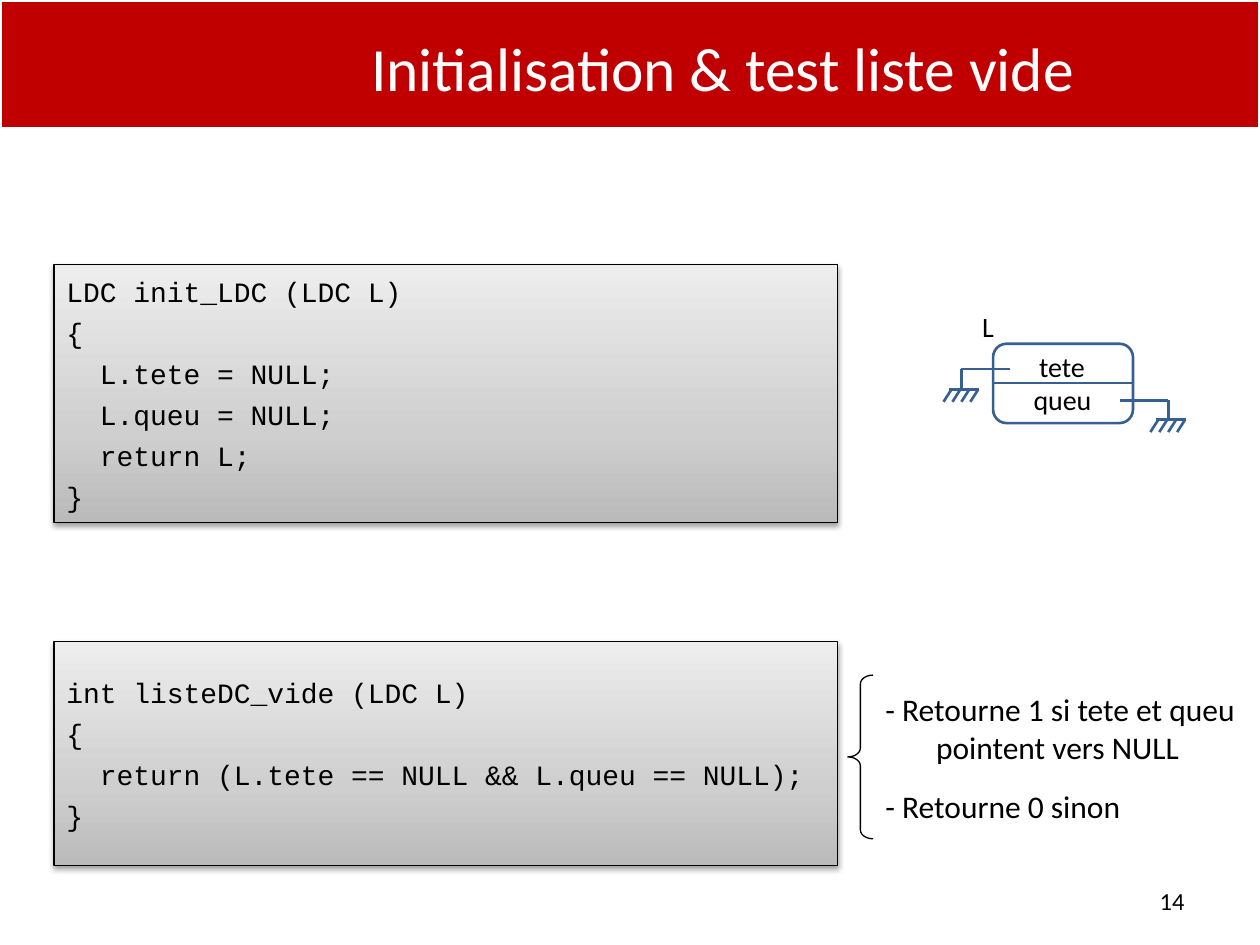
from lxml.etree import SubElement
from pptx import Presentation
from pptx.dml.color import RGBColor
from pptx.enum.shapes import MSO_CONNECTOR, MSO_SHAPE as SHAPE
from pptx.enum.text import MSO_ANCHOR as ANCHOR, MSO_AUTO_SIZE, PP_ALIGN as ALIGN
from pptx.oxml.ns import qn
from pptx.util import Cm, Pt

BLACK, WHITE, RED, BLUE = "000000", "FFFFFF", "C00000", "366092"
GREYS = [(0, "BABABA"), (35, "CFCFCF"), (100, "EDEDED")]

INIT_CODE = """LDC init_LDC (LDC L)
{
  L.tete = NULL;
  L.queu = NULL;
  return L;
}"""
EMPTY_CODE = """int listeDC_vide (LDC L)
{
  return (L.tete == NULL && L.queu == NULL);
}"""


def rgb(hex_color):
    return RGBColor.from_string(hex_color)


def sub(parent, tag, **attributes):
    return SubElement(parent, qn(tag), {k: str(v) for k, v in attributes.items()})


class Slide:
    """Holds the slide and its style; lengths are in centimetres."""
    font, code_font = "Calibri", "Courier New"

    def __init__(self, deck):
        self.slide = deck.slides.add_slide(deck.slide_layouts[5])
        self.shapes = self.slide.shapes

    def put_lines(self, shape, lines, size, color=BLACK, font=None, align=ALIGN.LEFT,
                  anchor=ANCHOR.TOP, gap=0, hanging=None):
        frame = shape.text_frame
        frame_format = {"word_wrap": True, "auto_size": MSO_AUTO_SIZE.NONE,
                        "vertical_anchor": anchor}
        for name, value in frame_format.items():
            setattr(frame, name, value)
        for i, line in enumerate(lines):
            paragraph = frame.paragraphs[0] if i == 0 else frame.add_paragraph()
            paragraph.text = line
            paragraph.alignment = align
            paragraph.space_before = Pt(gap if i else 0)
            if hanging and i == 0:
                properties = paragraph._p.get_or_add_pPr()
                properties.set("marL", str(Cm(hanging)))
                properties.set("indent", str(-Cm(hanging)))
            for name, value in {"name": font or self.font, "size": Pt(size)}.items():
                setattr(paragraph.font, name, value)
            paragraph.font.color.rgb = rgb(color)

    def title(self, text, box, **style):
        holder = self.shapes.title
        for name, value in zip(("left", "top", "width", "height"), box):
            setattr(holder, name, Cm(value))
        self.put_lines(holder, [text], align=ALIGN.CENTER, anchor=ANCHOR.MIDDLE, **style)

    def text(self, lines, box, size, **style):
        self.put_lines(self.shapes.add_textbox(*map(Cm, box)), lines, size, **style)

    def shape(self, kind, box, line, width, fill=None, adjust=None):
        shape = self.shapes.add_shape(kind, *map(Cm, box))
        shape.shadow.inherit = False
        shape.line.color.rgb = rgb(line)
        shape.line.width = Pt(width)
        if fill:
            shape.fill.solid()
            shape.fill.fore_color.rgb = rgb(fill)
        else:
            shape.fill.background()
        if adjust:
            shape.adjustments[0] = adjust
        return shape

    def line(self, x1, y1, x2, y2):
        line = self.shapes.add_connector(MSO_CONNECTOR.STRAIGHT, *map(Cm, (x1, y1, x2, y2)))
        line.line.color.rgb = rgb(BLUE)
        line.line.width = Pt(1.5)
        sub(line._element.spPr, "a:effectLst")

    def code(self, source, box):
        panel = self.shape(SHAPE.RECTANGLE, box, BLACK, 0.75)
        panel.fill.gradient()
        panel.fill.gradient_angle = 90
        properties = panel._element.spPr
        stops = properties.find(".//" + qn("a:gsLst"))
        for stop in list(stops):
            stops.remove(stop)
        for position, grey in GREYS:
            sub(sub(stops, "a:gs", pos=position * 1000), "a:srgbClr", val=grey)
        shadow = sub(properties.find(qn("a:effectLst")), "a:outerShdw", blurRad=Pt(3.1),
                     dist=Pt(1.6), dir=5400000, rotWithShape=0)
        sub(sub(shadow, "a:srgbClr", val=BLACK), "a:alpha", val=37000)
        self.put_lines(panel, source.split("\n"), 16, font=self.code_font,
                       anchor=ANCHOR.MIDDLE, gap=4.2)

    def ground(self, start, y, stem, bar):
        """A NULL pointer: wire, stem, bar and four slanted ticks."""
        self.line(start, y, stem, y)
        self.line(stem, y, stem, bar)
        self.line(stem - 0.24, bar, stem + 0.35, bar)
        for i in range(4):
            x = stem - 0.2 + 0.18 * i
            self.line(x, bar, x - 0.16, bar + 0.25)


def main():
    deck = Presentation()
    deck.slide_width, deck.slide_height = Cm(25.4), Cm(19.05)
    page = Slide(deck)

    # Title on its red band, which goes behind it
    band = page.shape(SHAPE.RECTANGLE, (0, 0, 25.4, 2.59), WHITE, 2, fill=RED)
    page.shapes._spTree.insert(2, band._element)
    page.title("Initialisation & test liste vide ", (5.51, 0.48, 18.39, 1.75),
               size=35.1, color=WHITE)

    # Code panels
    page.code(INIT_CODE, (1.09, 5.33, 15.8, 5.21))
    page.code(EMPTY_CODE, (1.09, 12.93, 15.8, 4.52))

    # Empty list: both pointers grounded
    page.ground(20.37, 7.44, 19.38, 7.85)
    page.ground(22.58, 8.07, 23.55, 8.46)
    page.shape(SHAPE.ROUNDED_RECTANGLE, (20.02, 6.93, 2.82, 1.6), BLUE, 1.5, adjust=0.17)
    page.line(20.02, 7.72, 22.84, 7.72)
    for label, left, top, width in (("tete", 19.96, 6.93, 2.9), ("queu", 20.19, 7.59, 2.46),
                                    ("L", 19.38, 6.12, 1.07)):
        page.text([label], (left, top, width, 0.94), 16, align=ALIGN.CENTER)

    # Return values
    page.shape(SHAPE.LEFT_BRACE, (17.09, 13.61, 0.51, 3.3), BLACK, 0.75, adjust=0.35)
    page.text(["- Retourne 1 si tete et queu pointent vers NULL", "- Retourne 0 sinon"],
              (17.6, 13.79, 7.9, 3), 18, gap=12, hanging=1.02)

    # Page number
    page.text(["14"], (18.21, 17.65, 5.92, 1.02), 14, align=ALIGN.RIGHT, anchor=ANCHOR.MIDDLE)

    deck.save("out.pptx")


if __name__ == "__main__":
    main()
